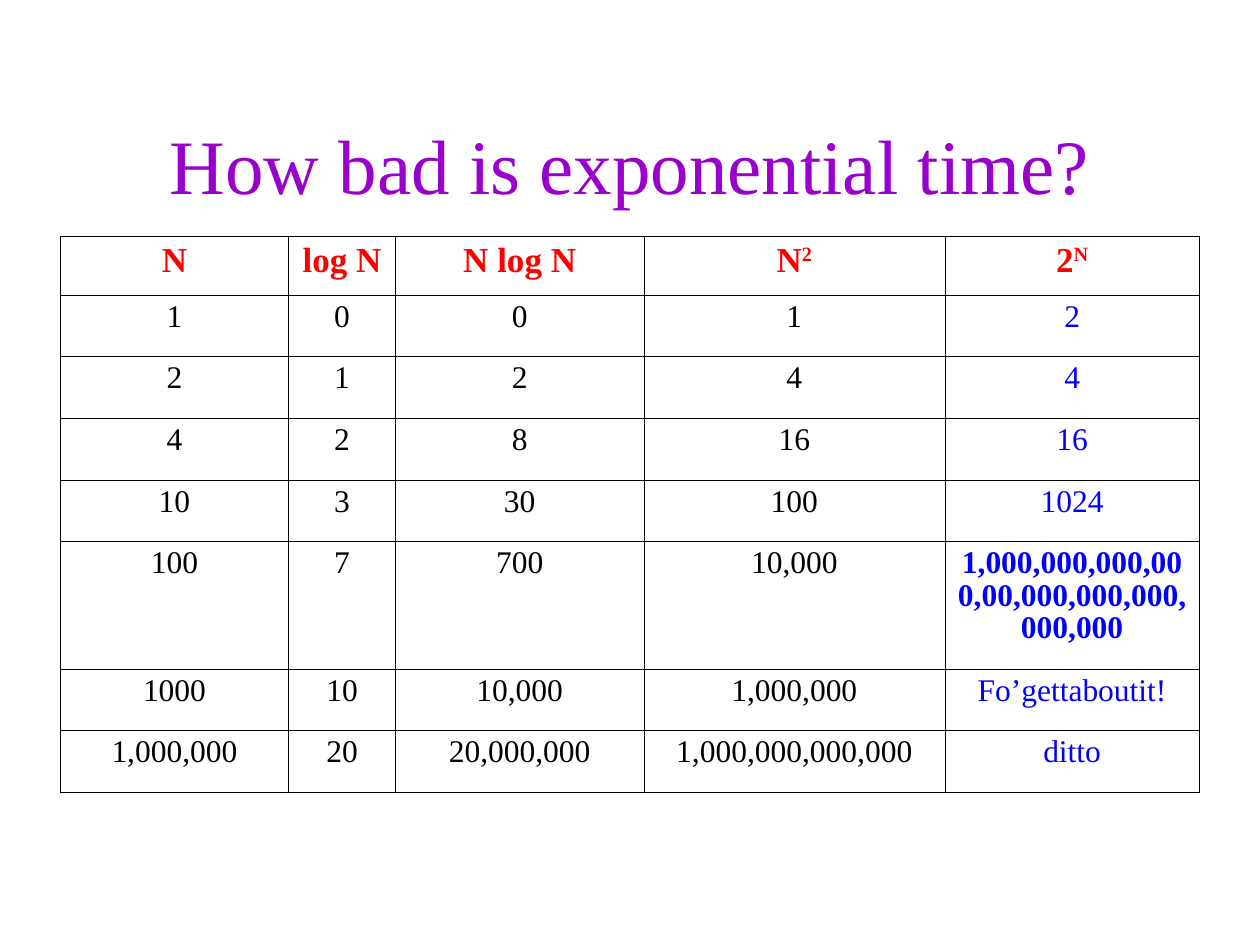
from lxml import etree
from pptx import Presentation
from pptx.dml.color import RGBColor
from pptx.enum.text import MSO_ANCHOR, PP_ALIGN
from pptx.oxml.ns import qn
from pptx.util import Inches, Pt

CENTER = PP_ALIGN.CENTER
MIDDLE = MSO_ANCHOR.MIDDLE
PURPLE = RGBColor(0x99, 0x00, 0xCC)
RED = RGBColor(0xFF, 0x00, 0x00)
BLUE = RGBColor(0x00, 0x00, 0xFF)
BLACK = RGBColor(0x00, 0x00, 0x00)
FONT = "Times New Roman"

TITLE = "How bad is exponential time?"
HEADER = ["N", "log N", "N log N", "N^2", "2^N"]
HUGE = "1,000,000,000,000,00,000,000,000,000,000"
GROWTH = [
    ["1", "0", "0", "1", "2"],
    ["2", "1", "2", "4", "4"],
    ["4", "2", "8", "16", "16"],
    ["10", "3", "30", "100", "1024"],
    ["100", "7", "700", "10,000", HUGE],
    ["1000", "10", "10,000", "1,000,000", "Fo’gettaboutit!"],
    ["1,000,000", "20", "20,000,000", "1,000,000,000,000", "ditto"],
]
ROWS = [HEADER] + GROWTH
COLUMN_WIDTHS = [1.81, 0.85, 1.97, 2.39, 2.02]
HEADER_HEIGHT, ROW_HEIGHT, HUGE_HEIGHT = 0.46, 0.49, 1.01
OUTER_LINE, INNER_LINE = Pt(0.5), Pt(0.23)


def write(frame, text, *, size, color, bold=False, before=0, spacing=1.0):
    para = frame.paragraphs[0]
    para.alignment = CENTER
    para.space_before = Pt(before)
    para.line_spacing = spacing
    for index, part in enumerate(text.split("^")):
        span = para.add_run()
        span.text = part
        span.font.name = FONT
        span.font.size = Pt(size)
        span.font.bold = bold
        span.font.color.rgb = color
        if index:
            span.font._element.set("baseline", "30000")


def draw_borders(cell, outer_sides):
    properties = cell._tc.get_or_add_tcPr()
    for side in "LRTB":
        width = OUTER_LINE if side in outer_sides else INNER_LINE
        line = etree.SubElement(properties, qn(f"a:ln{side}"), w=str(int(width)))
        fill = etree.SubElement(line, qn("a:solidFill"))
        etree.SubElement(fill, qn("a:srgbClr"), val=str(BLACK))


def row_height(row):
    if row is HEADER:
        return HEADER_HEIGHT
    return HUGE_HEIGHT if HUGE in row else ROW_HEIGHT


def add_growth_table(page):
    heights = [row_height(row) for row in ROWS]
    width = sum(COLUMN_WIDTHS)
    table = page.shapes.add_table(
        len(ROWS), len(HEADER), Inches((10 - width) / 2), Inches(1.88),
        Inches(width), Inches(sum(heights))).table
    table.first_row = table.horz_banding = False
    for column, column_width in zip(table.columns, COLUMN_WIDTHS):
        column.width = Inches(column_width)

    last_row, last_column = len(ROWS) - 1, len(HEADER) - 1
    for r, row in enumerate(ROWS):
        table.rows[r].height = Inches(heights[r])
        for c, text in enumerate(row):
            cell = table.cell(r, c)
            edges = {"L": c == 0, "R": c == last_column,
                     "T": r == 0, "B": r == last_row}
            draw_borders(cell, [side for side, outer in edges.items() if outer])
            cell.fill.background()
            if r == 0:
                style = dict(size=20, color=RED, bold=True, before=5)
            else:
                style = dict(size=18, color=BLUE if c == last_column else BLACK,
                             bold=text == HUGE, before=4.5)
            write(cell.text_frame, text, spacing=0.93, **style)


def main():
    deck = Presentation()
    deck.slide_width, deck.slide_height = Inches(10), Inches(7.5)
    page = deck.slides.add_slide(deck.slide_layouts[6])
    box = page.shapes.add_textbox(Inches(0.75), Inches(0.67), Inches(8.5), Inches(1.25))
    box.text_frame.word_wrap = True
    box.text_frame.vertical_anchor = MIDDLE
    write(box.text_frame, TITLE, size=44, color=PURPLE)
    add_growth_table(page)
    deck.save("out.pptx")


if __name__ == "__main__":
    main()
